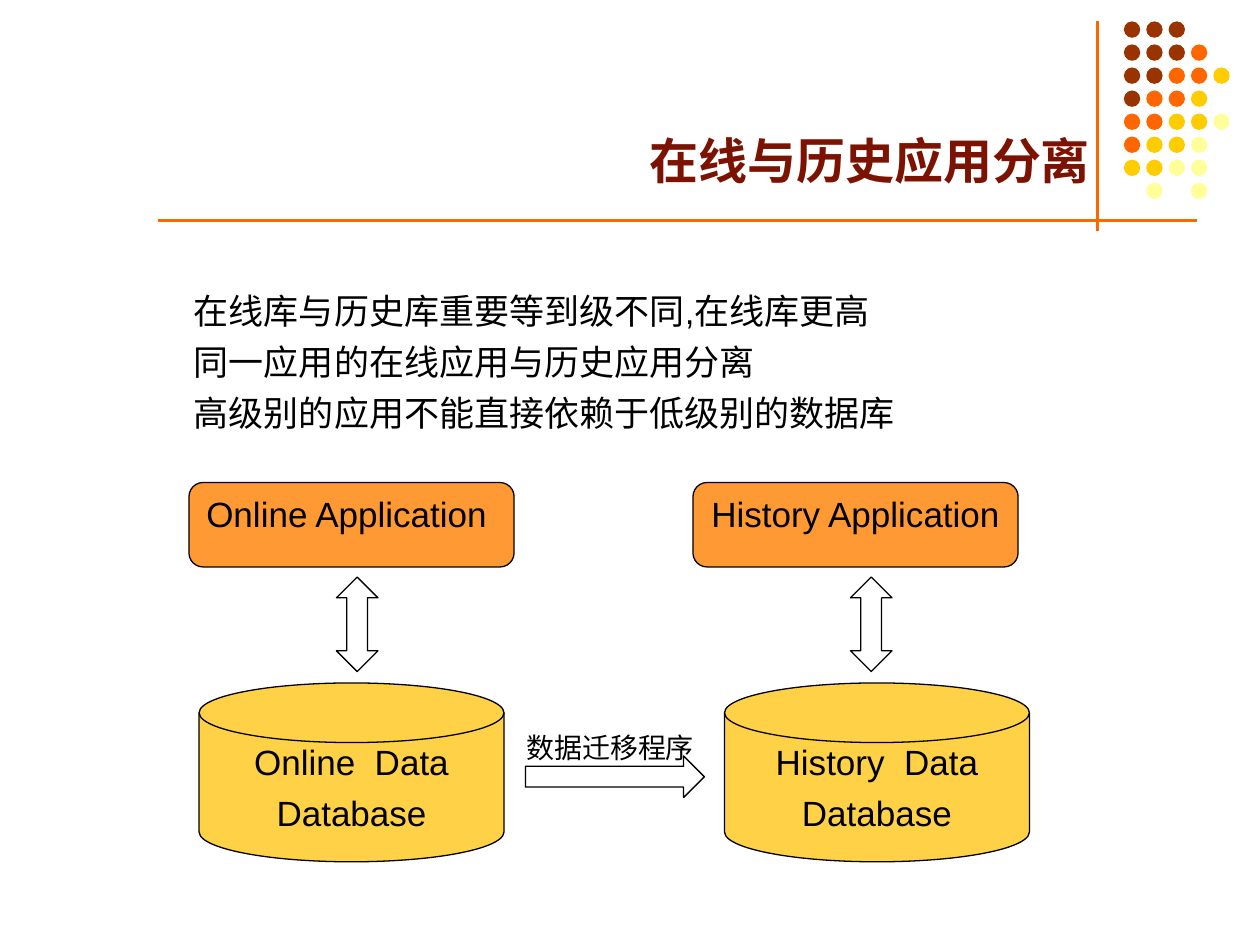
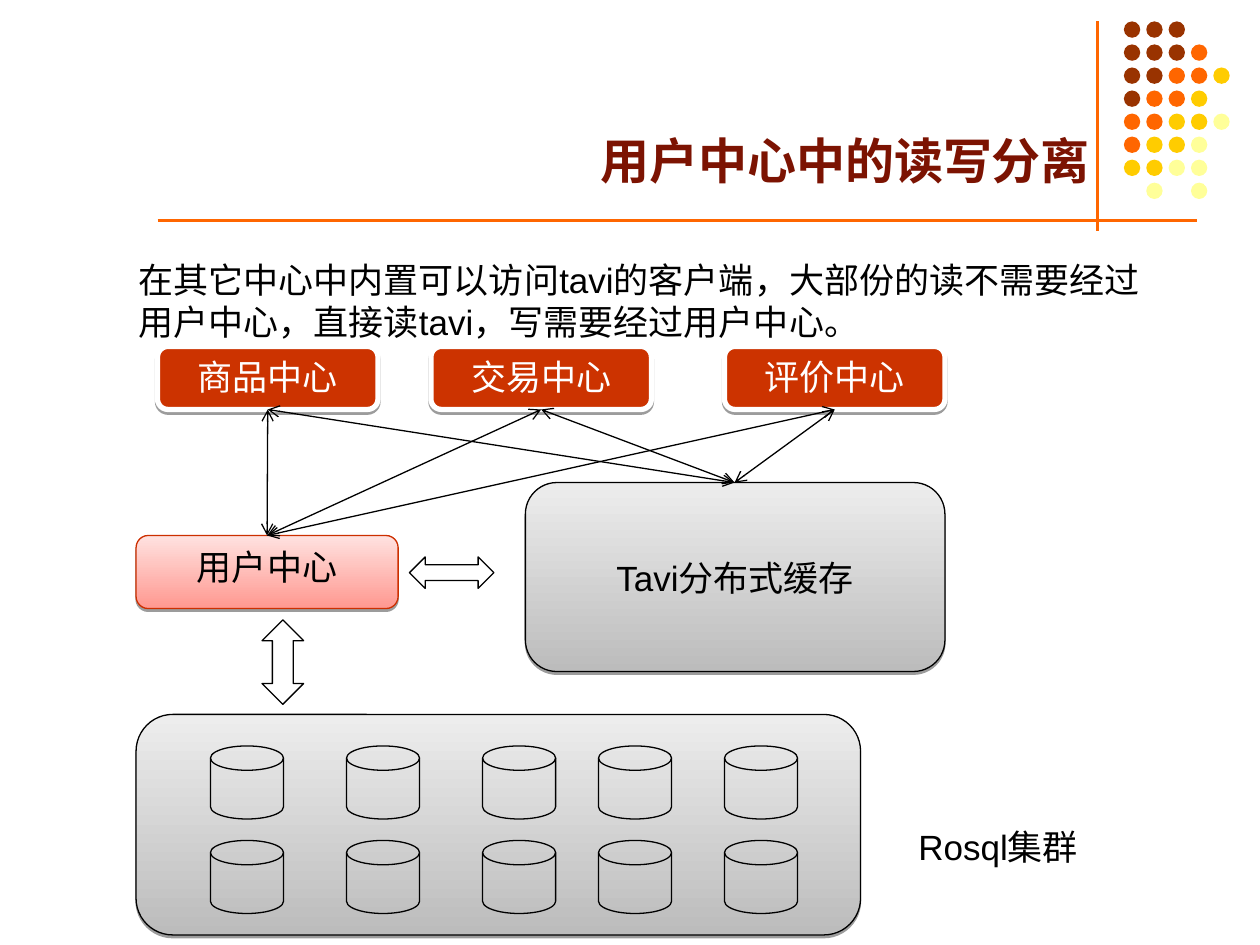
from dataclasses import dataclass

from lxml import etree
from pptx import Presentation
from pptx import util as u
from pptx.dml.color import RGBColor
from pptx.enum import shapes, text
from pptx.oxml import ns

FONT = "Arial"
INK = {
    "black": "000000", "white": "FFFFFF", "title": "7C1302",
    "brown": "993300", "orange": "FF6600", "gold": "FFCC00", "cream": "FFFF99",
    "app": "FF9933", "store": "FFD147", "red": "CC3300", "edge": "CC2F00",
    "pink": "FF9890", "blush": "FFE2E0", "grey": "BCBCBC", "pale": "EDEDED",
}
DOTS = ("bbb", "bbbo", "bboog", "boog", "ooggy", "oggy", "ggyy", " y y")
DOT_INK = {"b": "brown", "o": "orange", "g": "gold", "y": "cream"}

KIND = shapes.MSO_SHAPE
DISK = KIND.FLOWCHART_MAGNETIC_DISK
ROUND = KIND.ROUNDED_RECTANGLE
UPDOWN = KIND.UP_DOWN_ARROW
TOP, MID = text.MSO_ANCHOR.TOP, text.MSO_ANCHOR.MIDDLE
LEFT, MIDDLE = text.PP_ALIGN.LEFT, text.PP_ALIGN.CENTER

Box = tuple[float, float, float, float]
Point = tuple[float, float]


@dataclass
class Node:
    kind: KIND
    box: Box
    lines: tuple[str, ...] = ()
    fill: tuple[str, ...] = ()  # none, one colour, or bottom and top colours
    edge: str = "black"
    width: float = 0.75
    ink: str = "black"
    anchor: text.MSO_ANCHOR = TOP
    shade: bool = False


@dataclass
class Note:
    box: Box
    lines: tuple[str, ...]
    size: int = 20
    gap: int = 5
    indent: float = 0


def rgb(name: str) -> RGBColor:
    return RGBColor.from_string(INK[name])


def inches(box: Box) -> list[u.Length]:
    return [u.Inches(v) for v in box]


def write(frame, lines: tuple[str, ...], ink: str, size: int = 20,
          gap: int = 5, align=LEFT) -> None:
    frame.word_wrap = True
    for i, line in enumerate(lines):
        para = frame.add_paragraph() if i else frame.paragraphs[0]
        para.text = line
        para.alignment = align
        para.space_before = u.Pt(gap)
        para.font.name = FONT
        para.font.size = u.Pt(size)
        para.font.color.rgb = rgb(ink)


def add_shade(shape) -> None:
    effect = shape._element.spPr.find(ns.qn("a:effectLst"))
    outer = etree.SubElement(effect, ns.qn("a:outerShdw"), blurRad="0",
                             dist=str(u.Pt(1.6)), dir="5400000", rotWithShape="0")
    tint = etree.SubElement(outer, ns.qn("a:srgbClr"), val=INK["black"])
    etree.SubElement(tint, ns.qn("a:alpha"), val="38000")


def add_node(slide, node: Node) -> None:
    shape = slide.shapes.add_shape(node.kind, *inches(node.box))
    shape.shadow.inherit = False
    if len(node.fill) == 2:
        shape.fill.gradient()
        shape.fill.gradient_angle = 90
        for stop, name in zip(shape.fill.gradient_stops, node.fill):
            stop.color.rgb = rgb(name)
    elif node.fill:
        shape.fill.solid()
        shape.fill.fore_color.rgb = rgb(node.fill[0])
    else:
        shape.fill.background()
    if node.width:
        shape.line.color.rgb = rgb(node.edge)
        shape.line.width = u.Pt(node.width)
    else:
        shape.line.fill.background()
    if node.shade:
        add_shade(shape)
    if node.lines:
        shape.text_frame.vertical_anchor = node.anchor
        write(shape.text_frame, node.lines, node.ink, align=MIDDLE)


def add_note(slide, note: Note) -> None:
    frame = slide.shapes.add_textbox(*inches(note.box)).text_frame
    write(frame, note.lines, "black", note.size, note.gap)
    frame.auto_size = text.MSO_AUTO_SIZE.SHAPE_TO_FIT_TEXT
    for para in frame.paragraphs:
        para._p.get_or_add_pPr().set("marL", str(u.Inches(note.indent)))


def add_line(slide, start: Point, end: Point, ink: str = "black",
             width: float = 0.75, arrows: bool = False) -> None:
    line = slide.shapes.add_connector(
        shapes.MSO_CONNECTOR.STRAIGHT, *inches(start + end))
    line.line.color.rgb = rgb(ink)
    line.line.width = u.Pt(width)
    etree.SubElement(line._element.spPr, ns.qn("a:effectLst"))
    if arrows:
        for tag in ("a:headEnd", "a:tailEnd"):
            etree.SubElement(line.line._ln, ns.qn(tag), type="arrow")


def add_page(deck, title: str):
    """Add a slide with the shared rules, dots and title."""
    slide = deck.slides.add_slide(deck.slide_layouts[5])
    add_line(slide, (8.71, 0.17), (8.71, 1.83), "orange", 1.5)
    for r, row in enumerate(DOTS):
        for c, key in enumerate(row):
            if key in DOT_INK:
                box = (8.92 + 0.71 * c / 4, 0.17 + 1.28 * r / 7, 0.13, 0.13)
                add_node(slide, Node(KIND.OVAL, box, fill=(DOT_INK[key],), width=0))
    add_line(slide, (1.25, 1.75), (9.5, 1.75), "orange", 1.5)

    head = slide.shapes.title
    head.left, head.top, head.width, head.height = inches((0.5, 0.13, 8.25, 1.42))
    frame = head.text_frame
    write(frame, (title,), "title", 28, 0, text.PP_ALIGN.RIGHT)
    frame.auto_size = text.MSO_AUTO_SIZE.NONE
    frame.vertical_anchor = text.MSO_ANCHOR.BOTTOM
    frame.paragraphs[0].font.bold = True
    return slide


def split_apps(deck) -> None:
    slide = add_page(deck, "在线与历史应用分离")

    # Application, arrow and database for each side
    for name, app, arrow, disk in (("Online", 1.5, 2.67, 1.58),
                                   ("History", 5.5, 6.75, 5.75)):
        add_node(slide, Node(DISK, (disk, 5.42, 2.42, 1.42),
                             (f"{name}  Data", "Database"), ("store",), anchor=MID))
        add_node(slide, Node(ROUND, (app, 3.83, 2.58, 0.67),
                             (f"{name} Application ",), ("app",)))
        add_node(slide, Node(UPDOWN, (arrow, 4.58, 0.33, 0.75)))

    # Migration
    add_node(slide, Node(KIND.RIGHT_ARROW, (4.17, 6, 1.42, 0.33)))
    add_note(slide, Note((4.08, 5.75, 1.58, 0.37), ("数据迁移程序",), 16, 4))

    # Key points
    add_note(slide, Note((1.17, 2.25, 7.17, 1.24), (
        "在线库与历史库重要等到级不同,在线库更高",
        "同一应用的在线应用与历史应用分离",
        "高级别的应用不能直接依赖于低级别的数据库"), indent=0.27))


def split_reads(deck) -> None:
    slide = add_page(deck, "用户中心中的读写分离")
    steel = ("grey", "pale")

    # User centre and cache
    add_node(slide, Node(ROUND, (1.08, 4.25, 2.08, 0.58), ("用户中心",),
                         ("pink", "blush"), "edge", shade=True))
    add_node(slide, Node(ROUND, (4.17, 3.83, 3.33, 1.5), ("Tavi分布式缓存",),
                         steel, anchor=MID, shade=True))

    # Client centres
    clients = {"商品中心": 1.25, "交易中心": 3.42, "评价中心": 5.75}
    for name, left in clients.items():
        add_node(slide, Node(ROUND, (left, 2.75, 1.75, 0.5), (name,), ("red",),
                             "white", 3, "white", shade=True))

    # Database cluster
    add_node(slide, Node(ROUND, (1.08, 5.67, 5.75, 1.75), fill=steel, shade=True))
    for top in (5.92, 6.67):
        for left in (1.67, 2.75, 3.83, 4.75, 5.75):
            add_node(slide, Node(DISK, (left, top, 0.58, 0.58)))
    add_note(slide, Note((6.92, 6.5, 2, 0.44), ("Rosql集群",), indent=0.27))

    # Links from every client to the user centre and to the cache
    for end in ((2.12, 4.25), (5.83, 3.83)):
        for left in clients.values():
            add_line(slide, (left + 1.75 / 2, 3.25), end, arrows=True)
    add_node(slide, Node(KIND.LEFT_RIGHT_ARROW, (3.25, 4.42, 0.67, 0.25)))
    add_node(slide, Node(UPDOWN, (2.08, 4.92, 0.33, 0.67)))

    # Introduction
    add_note(slide, Note((1, 2, 8.42, 0.77), (
        "在其它中心中内置可以访问tavi的客户端，大部份的读不需要经过"
        "用户中心，直接读tavi，写需要经过用户中心。",)))


def main() -> None:
    deck = Presentation()
    deck.slide_width, deck.slide_height = u.Inches(10), u.Inches(7.5)
    split_apps(deck)
    split_reads(deck)
    deck.save("out.pptx")


if __name__ == "__main__":
    main()
